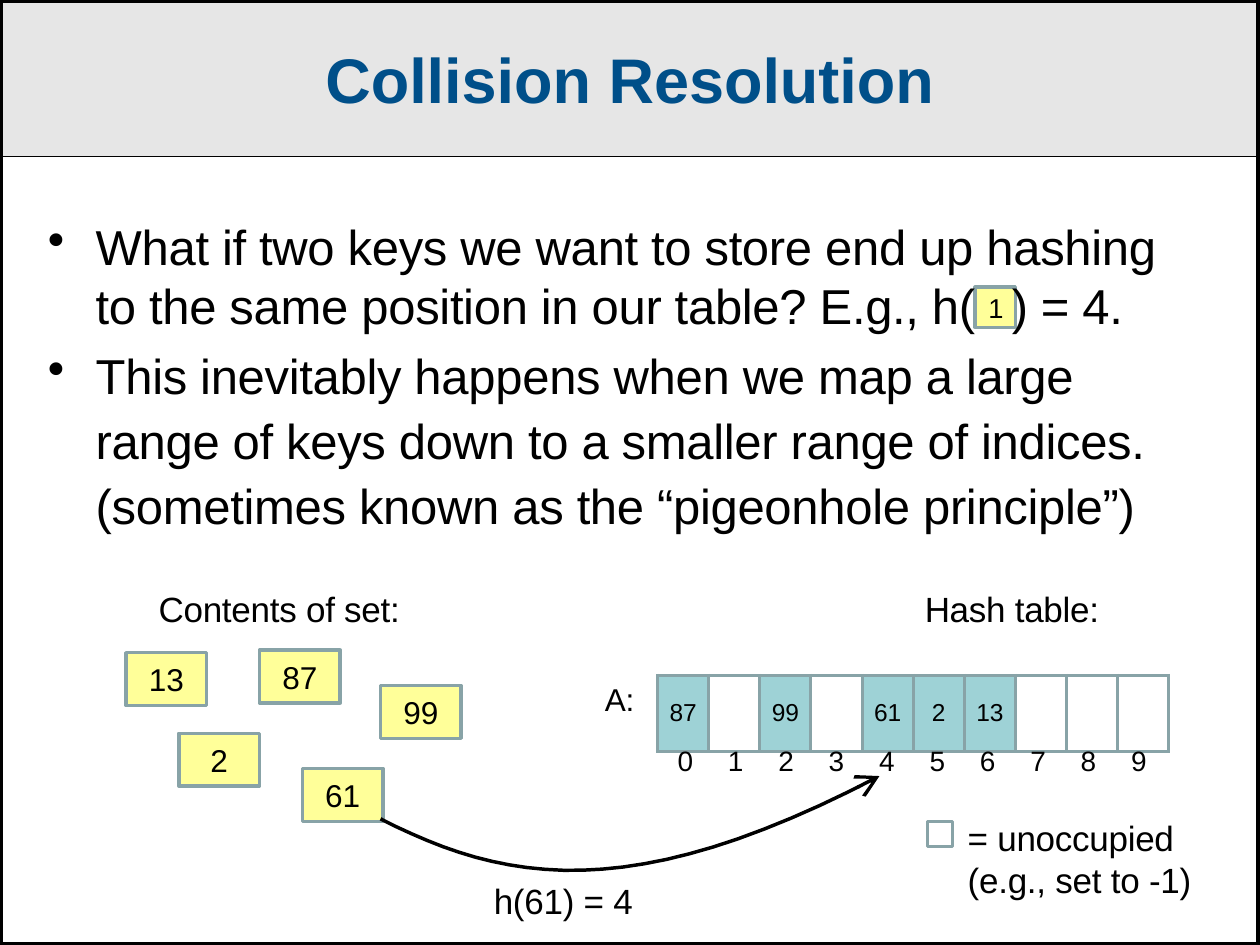
from lxml import etree
from pptx import Presentation
from pptx.dml.color import RGBColor
from pptx.enum.shapes import MSO_SHAPE
from pptx.enum.text import MSO_ANCHOR, PP_ALIGN
from pptx.oxml.ns import qn
from pptx.util import Inches, Pt

RECTANGLE = MSO_SHAPE.RECTANGLE
MIDDLE, TOP = MSO_ANCHOR.MIDDLE, MSO_ANCHOR.TOP
LEFT, CENTER = PP_ALIGN.LEFT, PP_ALIGN.CENTER
BLACK, WHITE, GREY, NAVY = "000000", "FFFFFF", "E6E6E6", "004F89"
YELLOW, TEAL, STEEL = "FFFF99", "9ED2D6", "88A3A7"
color = RGBColor.from_string

deck = Presentation()
deck.slide_width, deck.slide_height = Inches(5), Inches(3.75)
slide = deck.slides.add_slide(deck.slide_layouts[6])
shapes = slide.shapes


def add_text(frame, text, size=10, ink=BLACK, bold=False, align=LEFT, anchor=TOP, spacing=0, baseline=0):
    frame.margin_left = frame.margin_right = frame.margin_top = frame.margin_bottom = 0
    frame.word_wrap = True
    frame.vertical_anchor = anchor
    paragraph = frame.paragraphs[-1]
    paragraph.alignment = align
    run = paragraph.add_run()
    run.text = text
    run.font.name, run.font.size, run.font.bold = "Arial", Pt(size), bold
    run.font.color.rgb = color(ink)
    run.font._element.set("spc", str(spacing))
    run.font._element.set("baseline", str(baseline))
    return paragraph


def add_box(left, top, width, height, fill=None, line=STEEL, weight=1):
    box = shapes.add_shape(RECTANGLE, Inches(left), Inches(top), Inches(width), Inches(height))
    box.shadow.inherit = False
    if fill:
        box.fill.solid()
        box.fill.fore_color.rgb = color(fill)
    else:
        box.fill.background()
    box.line.color.rgb = color(line)
    box.line.width = Pt(weight)
    return box


header = add_box(0, 0, 5, 0.62, GREY, BLACK, 0.37)
add_text(header.text_frame, "Collision Resolution", size=18, ink=NAVY, bold=True, align=CENTER, anchor=MIDDLE)

add_box(3.87, 1.14, 0.16, 0.16, YELLOW)
body = shapes.add_textbox(Inches(0.19), Inches(0.86), Inches(4.47), Inches(1.3)).text_frame
add_text(body, "What if two keys we want to store end up hashing to the same position in our table? E.g., h( ",
         size=14, spacing=-10)
add_text(body, "1 ", size=13.5, spacing=10, baseline=12000)
add_text(body, ") = 4.", size=14, spacing=-10)
body.add_paragraph()
pigeonhole = add_text(
    body,
    "This inevitably happens when we map a large range of keys down to a smaller range of indices. "
    "(sometimes known as the “pigeonhole principle”)",
    size=14, spacing=-10)
pigeonhole.line_spacing = 1.1
pigeonhole.space_before = Pt(1.6)
for bullet in body.paragraphs:
    properties = bullet._p.get_or_add_pPr()
    properties.set("marL", str(Inches(0.19)))
    properties.set("indent", str(-Inches(0.19)))
    etree.SubElement(properties, qn("a:buChar")).set("char", "•")

labels = [
    ("Contents of set:", 0.63, 2.33, 1.2, 10),
    ("Hash table:", 3.67, 2.33, 0.9, 10),
    ("A:", 2.4, 2.7, 0.18, 9),
    ("h(61) = 4", 1.96, 3.49, 0.7, 10),
    ("= unoccupied (e.g., set to -1)", 3.84, 3.24, 1.08, 10),
]
for text, left, top, width, size in labels:
    label = shapes.add_textbox(Inches(left), Inches(top), Inches(width), Inches(0.17))
    add_text(label.text_frame, text, size=size, spacing=-5)

for key, left, top in [("13", 0.5, 2.59), ("87", 1.03, 2.58), ("99", 1.51, 2.72), ("2", 0.71, 2.91), ("61", 1.2, 3.05)]:
    tile = add_box(left, top, 0.32, 0.21, YELLOW)
    add_text(tile.text_frame, key, size=9, align=CENTER, anchor=MIDDLE)

slots = ["87", "", "99", "", "61", "2", "13", "", "", ""]
hash_table = shapes.add_table(1, len(slots), Inches(2.61), Inches(2.68), Inches(2.03), Inches(0.21)).table
for index, key in enumerate(slots):
    hash_table.columns[index].width = Inches(0.203)
    cell = hash_table.cell(0, index)
    cell.margin_left = cell.margin_right = cell.margin_top = cell.margin_bottom = 0
    cell.vertical_anchor = MIDDLE
    slot = add_text(cell.text_frame, key, size=7, align=CENTER)
    slot._p.get_or_add_endParaRPr().set("sz", "700")
    for side in ("lnL", "lnR", "lnT", "lnB"):
        border = etree.SubElement(cell._tc.get_or_add_tcPr(), qn("a:" + side), w=str(Pt(1)))
        border_fill = etree.SubElement(border, qn("a:solidFill"))
        etree.SubElement(border_fill, qn("a:srgbClr")).set("val", STEEL)
    cell.fill.solid()
    cell.fill.fore_color.rgb = color(TEAL if key else WHITE)

    position = shapes.add_textbox(Inches(2.62 + 0.2 * index), Inches(2.95), Inches(0.2), Inches(0.13))
    add_text(position.text_frame, str(index), size=8, align=CENTER)

add_box(3.68, 3.26, 0.1, 0.1)

controls = [(1.51, 3.25), (2, 3.5), (2.5, 3.6), (3.49, 3.08)]
steps = 24
curve = []
for step in range(steps + 1):
    t = step / steps
    weights = [(1 - t) ** 3, 3 * t * (1 - t) ** 2, 3 * t ** 2 * (1 - t), t ** 3]
    curve.append([Inches(sum(w * c for w, c in zip(weights, axis))) for axis in zip(*controls)])
builder = shapes.build_freeform(*curve[0])
builder.add_line_segments(curve[1:], close=False)
hash_arrow = builder.convert_to_shape()
hash_arrow.shadow.inherit = False
hash_arrow.fill.background()
hash_arrow.line.color.rgb = color(BLACK)
hash_arrow.line.width = Pt(1)
etree.SubElement(hash_arrow.line._get_or_add_ln(), qn("a:tailEnd")).set("type", "arrow")

add_box(0, 0, 5, 3.75, line=BLACK, weight=1.92)

deck.save("out.pptx")
